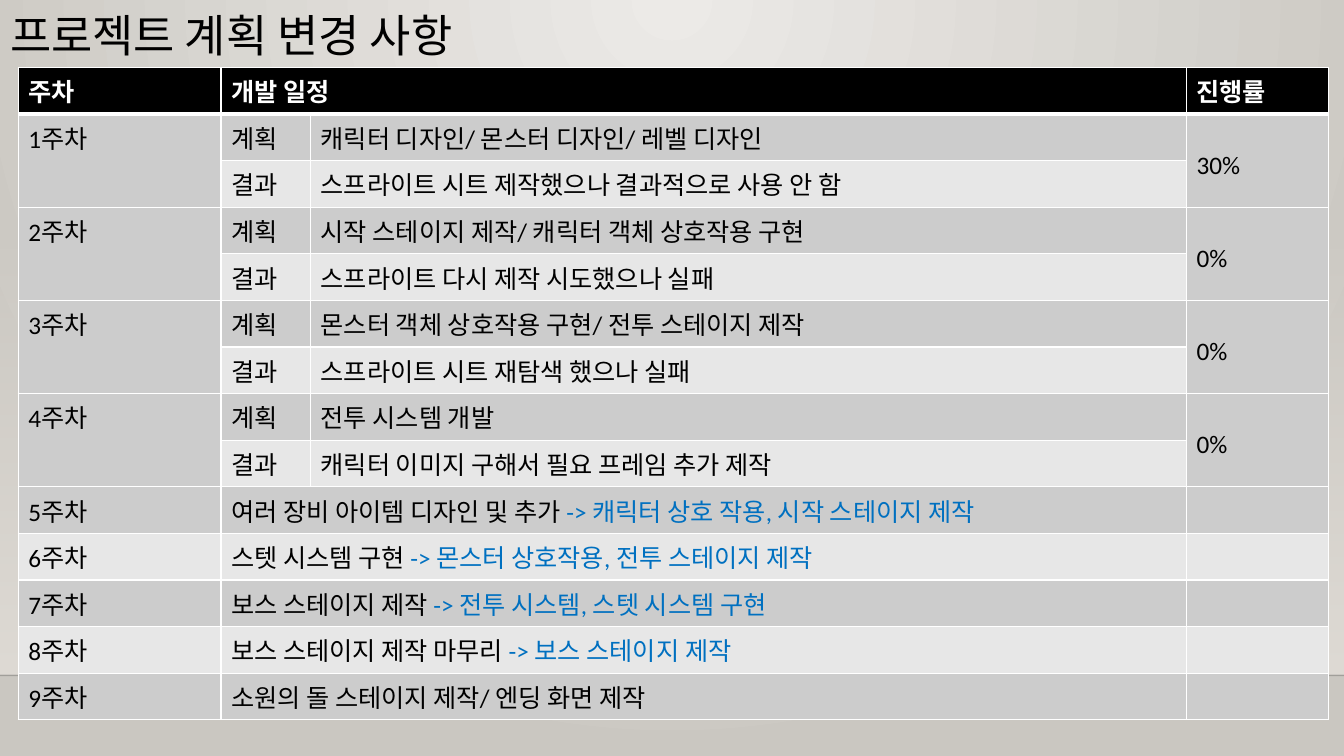
from lxml import etree
from pptx import Presentation
from pptx import util as u
from pptx.dml.color import RGBColor
from pptx.enum import shapes, text
from pptx.oxml import ns

COLORS = {
    "black": "000000", "white": "FFFFFF", "blue": "0070C0",
    "dark_band": "CCCCCC", "light_band": "E7E7E7",
    "glow": "ECEAE7", "edge": "CAC7C1", "wall": "DFDBD5", "floor_line": "000001",
}
FONT = "Calibri"
ROW_HEIGHT = 1.17
COLUMN_WIDTHS = [5.11, 2.26, 22.07, 3.58]
HEADERS = {0: "주차", 1: "개발 일정", 3: "진행률"}
REVIEWED_WEEKS = [
    ("캐릭터 디자인/ 몬스터 디자인/ 레벨 디자인", "스프라이트 시트 제작했으나 결과적으로 사용 안 함", "30%"),
    ("시작 스테이지 제작/ 캐릭터 객체 상호작용 구현", "스프라이트 다시 제작 시도했으나 실패", "0%"),
    ("몬스터 객체 상호작용 구현/ 전투 스테이지 제작", "스프라이트 시트 재탐색 했으나 실패", "0%"),
    ("전투 시스템 개발", "캐릭터 이미지 구해서 필요 프레임 추가 제작", "0%"),
]
COMING_WEEKS = [
    ("여러 장비 아이템 디자인 및 추가 ", "-> 캐릭터 상호 작용, 시작 스테이지 제작"),
    ("스텟 시스템 구현 ", "-> 몬스터 상호작용, 전투 스테이지 제작"),
    ("보스 스테이지 제작 ", "-> 전투 시스템, 스텟 시스템 구현"),
    ("보스 스테이지 제작 마무리 ", "-> 보스 스테이지 제작"),
    ("소원의 돌 스테이지 제작/ 엔딩 화면 제작", ""),
]


def add_run(paragraph, words, color="black", size=18, bold=False):
    run = paragraph.add_run()
    run.text = words
    run.font.name = FONT
    run.font.size = u.Pt(size)
    run.font.bold = bold
    run.font.color.rgb = RGBColor.from_string(COLORS[color])


def add_child(parent, tag, **attributes):
    return etree.SubElement(parent, ns.qn(tag), **attributes)


presentation = Presentation()
presentation.slide_width = u.Cm(33.87)
presentation.slide_height = u.Cm(19.05)
slide = presentation.slides.add_slide(presentation.slide_layouts[5])

background = slide.background.fill
background.gradient()
for stop, name in zip(background.gradient_stops, ["glow", "edge"]):
    stop.color.rgb = RGBColor.from_string(COLORS[name])
gradient = slide.element.find(".//" + ns.qn("a:gradFill"))
gradient.remove(gradient.find(ns.qn("a:lin")))
circle = add_child(gradient, "a:path", path="circle")
add_child(circle, "a:fillToRect", l="43000", t="0", r="43000", b="100000")

wall = slide.shapes.add_shape(
    shapes.MSO_SHAPE.RECTANGLE, u.Cm(0), u.Cm(5.61), u.Cm(33.87), u.Cm(11.4))
wall.shadow.inherit = False
wall.line.fill.background()
wall.fill.gradient()
wall.fill.gradient_angle = 270
for stop in wall.fill.gradient_stops:
    stop.color.rgb = RGBColor.from_string(COLORS["wall"])
first_color = wall.element.find(".//" + ns.qn("a:gs")).find(ns.qn("a:srgbClr"))
add_child(first_color, "a:alpha", val="0")

floor_line = slide.shapes.add_connector(
    shapes.MSO_CONNECTOR.STRAIGHT, u.Cm(0), u.Cm(17.02), u.Cm(33.87), u.Cm(17.02))
floor_line.line.width = u.Pt(1)
floor_line.line.color.rgb = RGBColor.from_string(COLORS["floor_line"])
add_child(floor_line.element.find(".//" + ns.qn("a:srgbClr")), "a:alpha", val="20000")
add_child(floor_line.element.spPr, "a:effectLst")

title = slide.shapes.title
title.left, title.top, title.width, title.height = u.Cm(0), u.Cm(0.23), u.Cm(26.67), u.Cm(2.92)
title.text_frame.vertical_anchor = text.MSO_ANCHOR.TOP
title.text_frame.word_wrap = True
heading = title.text_frame.paragraphs[0]
heading.alignment = text.PP_ALIGN.LEFT
heading.line_spacing = 0.9
add_run(heading, "프로젝트 계획 변경 사항", size=32)

row_count = 1 + 2 * len(REVIEWED_WEEKS) + len(COMING_WEEKS)
table = slide.shapes.add_table(
    row_count, len(COLUMN_WIDTHS), u.Cm(0.46), u.Cm(1.7),
    u.Cm(sum(COLUMN_WIDTHS)), u.Cm(ROW_HEIGHT * row_count)).table
for column, width in zip(table.columns, COLUMN_WIDTHS):
    column.width = u.Cm(width)

for row_index, row in enumerate(table.rows):
    row.height = u.Cm(ROW_HEIGHT)
    band = "black" if row_index == 0 else "dark_band" if row_index % 2 else "light_band"
    for cell in row.cells:
        cell.fill.solid()
        cell.fill.fore_color.rgb = RGBColor.from_string(COLORS[band])
        properties = cell._tc.get_or_add_tcPr()
        for position, side in enumerate(["L", "R", "T", "B"]):
            thick = (row_index, side) in [(0, "B"), (1, "T")]
            border = add_child(properties, "a:ln" + side, w=str(u.Pt(3 if thick else 1)))
            add_child(add_child(border, "a:solidFill"), "a:srgbClr", val=COLORS["white"])
            properties.insert(position, border)

table.cell(0, 1).merge(table.cell(0, 2))
for column_index, words in HEADERS.items():
    add_run(table.cell(0, column_index).text_frame.paragraphs[0], words, "white", bold=True)

for week, (plan, result, progress) in enumerate(REVIEWED_WEEKS, start=1):
    top = 2 * week - 1
    for column_index in (0, 3):
        table.cell(top, column_index).merge(table.cell(top + 1, column_index))
    progress_cell = table.cell(top, 3)
    progress_cell.vertical_anchor = text.MSO_ANCHOR.MIDDLE
    progress_cell.margin_top = u.Cm(0.38)
    entries = [(top, 0, f"{week}주차"), (top, 1, "계획"), (top, 2, plan),
               (top + 1, 1, "결과"), (top + 1, 2, result), (top, 3, progress)]
    for row_index, column_index, words in entries:
        add_run(table.cell(row_index, column_index).text_frame.paragraphs[0], words)

first_coming = 1 + 2 * len(REVIEWED_WEEKS)
for offset, (plan, change) in enumerate(COMING_WEEKS):
    row_index = first_coming + offset
    table.cell(row_index, 1).merge(table.cell(row_index, 2))
    week = len(REVIEWED_WEEKS) + 1 + offset
    add_run(table.cell(row_index, 0).text_frame.paragraphs[0], f"{week}주차")
    schedule = table.cell(row_index, 1).text_frame.paragraphs[0]
    add_run(schedule, plan)
    if change:
        add_run(schedule, change, "blue")

presentation.save("out.pptx")
